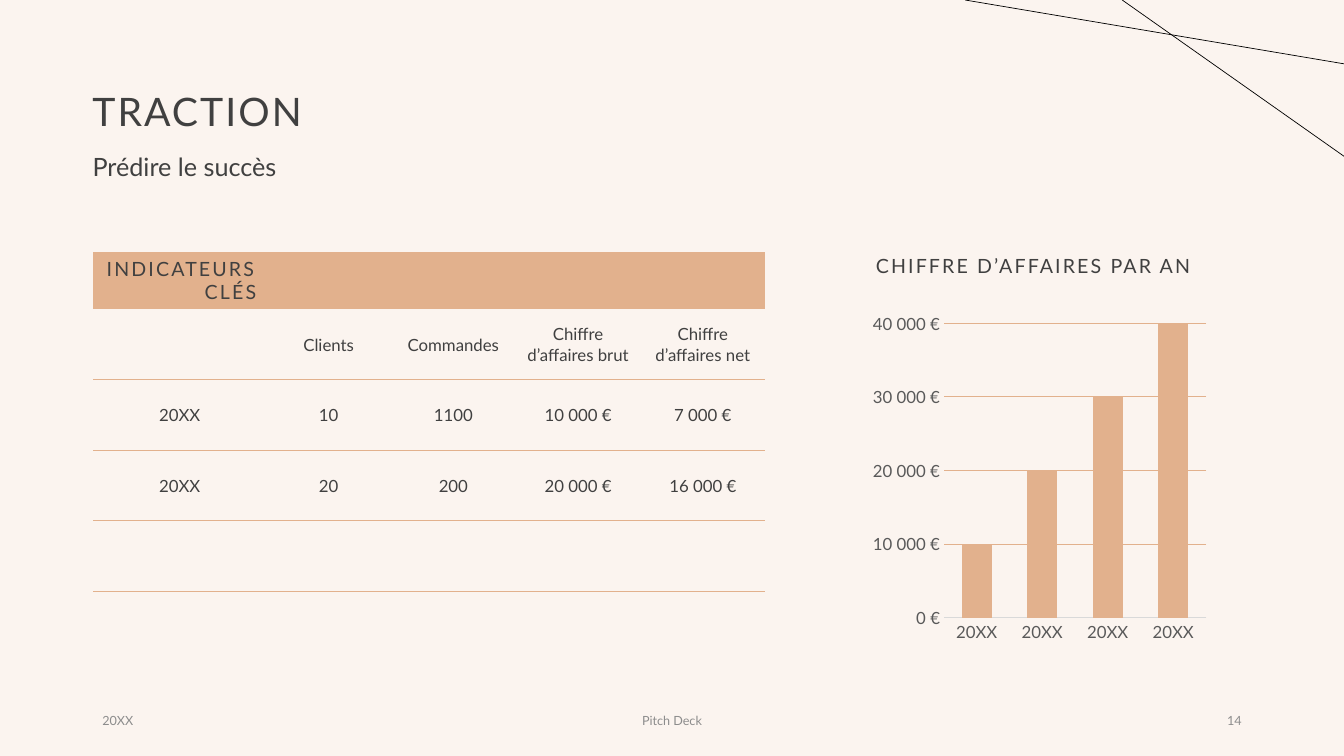
from dataclasses import dataclass, field
from typing import Any

from lxml.etree import SubElement
from pptx import Presentation
from pptx.chart.data import CategoryChartData
from pptx.dml.color import RGBColor
from pptx.enum.chart import XL_CHART_TYPE, XL_TICK_MARK
from pptx.enum.shapes import MSO_CONNECTOR
from pptx.enum.text import MSO_ANCHOR, PP_ALIGN
from pptx.oxml.ns import qn
from pptx.util import Emu, Inches, Pt

CELL = Inches(1) / 12
COLUMNS, ROWS = 160, 90


@dataclass(frozen=True)
class Theme:
    font: str = "Lato"
    background: str = "FBF4EF"
    accent: str = "E2B18D"
    text: str = "404040"
    muted: str = "8C8C8C"
    axis_text: str = "595959"
    axis_line: str = "D9D9D9"
    stroke: str = "000000"
    title_size: float = 28
    subtitle_size: float = 18
    heading_size: float = 14
    body_size: float = 12
    footer_size: float = 9
    tracking: float = 1.5


THEME = Theme()


@dataclass(frozen=True)
class Box:
    """A rectangle in grid columns and rows."""
    left: float
    top: float
    width: float
    height: float

    def lengths(self) -> list[Emu]:
        return [grid(value) for value in (self.left, self.top, self.width, self.height)]


@dataclass(frozen=True)
class Label:
    text: str
    box: Box
    size: float
    color: str = THEME.text
    tracking: float = 0
    frame: dict[str, Any] = field(default_factory=dict)
    paragraph: dict[str, Any] = field(default_factory=dict)


@dataclass(frozen=True)
class Stroke:
    start: tuple[float, float]
    end: tuple[float, float]


BODY = {"line_spacing": 0.9, "space_before": Pt(10)}
MIDDLE = {"vertical_anchor": MSO_ANCHOR.MIDDLE}
FOOTER = {"size": THEME.footer_size, "color": THEME.muted, "frame": MIDDLE}

LABELS = [
    Label("TRACTION", Box(11, 4.8, 138, 17.4), THEME.title_size, tracking=THEME.tracking,
          frame={**MIDDLE, "margin_left": 0}, paragraph={"line_spacing": 0.9}),
    Label("Prédire le succès", Box(9.84, 17.88, 88.8, 6.48), THEME.subtitle_size, paragraph=BODY),
    Label("CHIFFRE D’AFFAIRES PAR AN", Box(103.1, 30, 41.3, 4.1), THEME.heading_size,
          tracking=THEME.tracking, paragraph=BODY),
    Label("20XX", Box(11, 83.4, 36, 4.8), **FOOTER),
    Label("Pitch Deck", Box(53, 83.4, 54, 4.8), paragraph={"alignment": PP_ALIGN.CENTER}, **FOOTER),
    Label("14", Box(113, 83.4, 36, 4.8), paragraph={"alignment": PP_ALIGN.RIGHT}, **FOOTER),
]
STROKES = [Stroke((133.6, 0), (COLUMNS, 18.6)), Stroke((114.9, 0), (COLUMNS, 7.6))]

TABLE_ORIGIN = (11.1, 30)
TABLE_COLUMNS = [20.6] + [14.85] * 4
TABLE_ROWS = [4.1] + [8.4] * 5
INDICATORS = [
    ["INDICATEURS CLÉS"],
    ["", "Clients", "Commandes", "Chiffre d’affaires brut", "Chiffre d’affaires net"],
    ["20XX", "10", "1100", "10 000 €", "7 000 €"],
    ["20XX", "20", "200", "20 000 €", "16 000 €"],
]

CHART_BOX = Box(103.1, 36.5, 41.3, 40.7)
REVENUE = [10000, 20000, 30000, 40000]


def grid(units: float) -> Emu:
    return Emu(round(units * CELL))


def rgb(color: str) -> RGBColor:
    return RGBColor.from_string(color)


def apply(target: Any, values: dict[str, Any]) -> None:
    for name, value in values.items():
        setattr(target, name, value)


def style_font(font: Any, size: float, color: str) -> None:
    apply(font, {"name": THEME.font, "size": Pt(size)})
    font.color.rgb = rgb(color)


def write(paragraph: Any, text: str, size: float, color: str, tracking: float = 0) -> None:
    run = paragraph.add_run()
    run.text = text
    style_font(run.font, size, color)
    if tracking:
        run.font._element.set("spc", str(round(tracking * 100)))


def add_label(slide: Any, label: Label) -> None:
    frame = slide.shapes.add_textbox(*label.box.lengths()).text_frame
    apply(frame, {"word_wrap": True, **label.frame})
    paragraph = frame.paragraphs[0]
    apply(paragraph, label.paragraph)
    write(paragraph, label.text, label.size, label.color, label.tracking)


def add_stroke(slide: Any, stroke: Stroke) -> None:
    ends = [grid(value) for value in (*stroke.start, *stroke.end)]
    connector = slide.shapes.add_connector(MSO_CONNECTOR.STRAIGHT, *ends)
    connector.line.color.rgb = rgb(THEME.stroke)
    connector.line.width = Pt(0.5)
    SubElement(connector._element.spPr, qn("a:effectLst"))


def set_borders(cell: Any, ruled_sides: set[str]) -> None:
    """Rule the given sides and clear the others; call before filling the cell."""
    properties = cell._tc.get_or_add_tcPr()
    for side in "LRTB":
        line = SubElement(properties, qn(f"a:ln{side}"), w=str(Pt(1)))
        if side in ruled_sides:
            solid = SubElement(line, qn("a:solidFill"))
            SubElement(solid, qn("a:srgbClr"), val=THEME.accent)
        else:
            SubElement(line, qn("a:noFill"))


def add_indicators(slide: Any) -> None:
    box = Box(*TABLE_ORIGIN, sum(TABLE_COLUMNS), sum(TABLE_ROWS))
    table = slide.shapes.add_table(len(TABLE_ROWS), len(TABLE_COLUMNS), *box.lengths()).table
    apply(table, {"first_row": False, "horz_banding": False})
    for column, width in zip(table.columns, TABLE_COLUMNS):
        column.width = grid(width)
    last = len(TABLE_ROWS) - 1
    for index, (row, height) in enumerate(zip(table.rows, TABLE_ROWS)):
        row.height = grid(height)
        header = index == 0
        ruled = ({"T"} if index > 1 else set()) | ({"B"} if 0 < index < last else set())
        for cell in row.cells:
            set_borders(cell, ruled)
            cell.vertical_anchor = MSO_ANCHOR.MIDDLE
            if header:
                cell.fill.solid()
                cell.fill.fore_color.rgb = rgb(THEME.accent)
            else:
                cell.fill.background()
        texts = INDICATORS[index] if index < len(INDICATORS) else []
        for cell, text in zip(row.cells, texts):
            if text:
                paragraph = cell.text_frame.paragraphs[0]
                paragraph.alignment = PP_ALIGN.RIGHT if header else PP_ALIGN.CENTER
                write(paragraph, text, THEME.heading_size if header else THEME.body_size,
                      THEME.text, THEME.tracking if header else 0)


def add_revenue_chart(slide: Any) -> None:
    data = CategoryChartData()
    data.categories = ["20XX"] * len(REVENUE)
    data.add_series("Series 1", REVENUE)
    chart = slide.shapes.add_chart(XL_CHART_TYPE.COLUMN_CLUSTERED, *CHART_BOX.lengths(), data).chart
    apply(chart, {"has_legend": False, "has_title": False})
    style_font(chart.font, THEME.body_size, THEME.axis_text)
    plot = chart.plots[0]
    apply(plot, {"gap_width": 118, "overlap": -3, "vary_by_categories": False})
    bars = plot.series[0].format.fill
    bars.solid()
    bars.fore_color.rgb = rgb(THEME.accent)
    categories, values = chart.category_axis, chart.value_axis
    for axis in (categories, values):
        apply(axis, {"major_tick_mark": XL_TICK_MARK.NONE, "minor_tick_mark": XL_TICK_MARK.NONE})
        style_font(axis.tick_labels.font, THEME.body_size, THEME.axis_text)
    apply(values, {"minimum_scale": 0, "maximum_scale": 40000, "major_unit": 10000,
                   "has_major_gridlines": True})
    apply(values.tick_labels, {"number_format": r'#\ ##0\ "€"', "number_format_is_linked": False})
    values.format.line.fill.background()
    for line, color in ((categories.format.line, THEME.axis_line),
                        (values.major_gridlines.format.line, THEME.accent)):
        line.color.rgb = rgb(color)
        line.width = Pt(0.75)


def main() -> None:
    presentation = Presentation()
    apply(presentation, {"slide_width": grid(COLUMNS), "slide_height": grid(ROWS)})
    slide = presentation.slides.add_slide(presentation.slide_layouts[6])
    slide.background.fill.solid()
    slide.background.fill.fore_color.rgb = rgb(THEME.background)
    for stroke in STROKES:
        add_stroke(slide, stroke)
    for label in LABELS:
        add_label(slide, label)
    add_indicators(slide)
    add_revenue_chart(slide)
    presentation.save("out.pptx")


if __name__ == "__main__":
    main()
